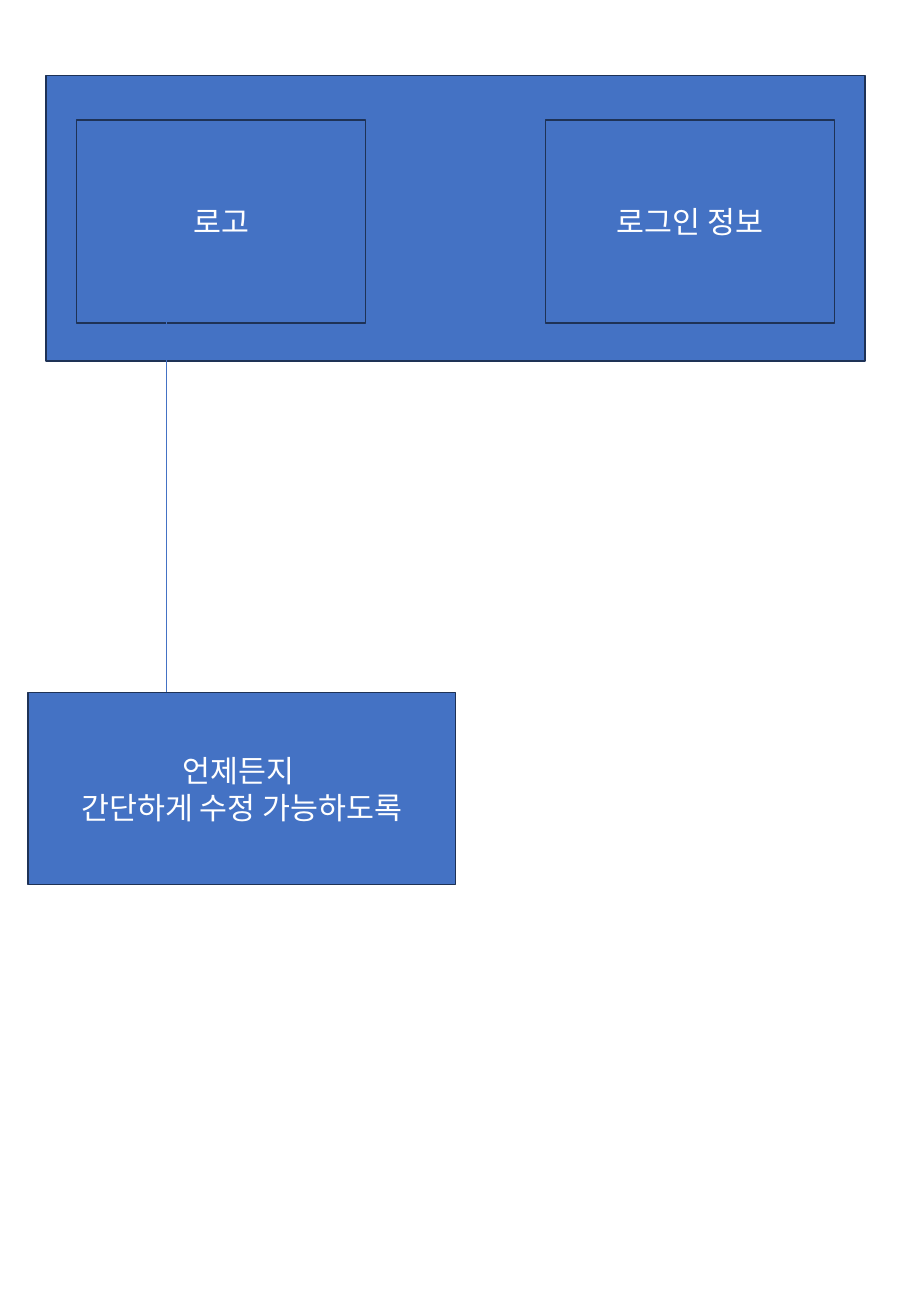
from dataclasses import dataclass

from pptx import Presentation
from pptx.dml.color import RGBColor
from pptx.enum import shapes, text
from pptx.oxml import ns
from pptx.oxml.xmlchemy import OxmlElement
from pptx.slide import Slide
from pptx import util as u

SLIDE_WIDTH = u.Inches(7.5)
SLIDE_HEIGHT = u.Inches(10.83)
COLUMNS = 60
CELL = SLIDE_WIDTH / COLUMNS  # square grid: a row is as tall as a column is wide


@dataclass(frozen=True)
class Theme:
    """Colours, font and sizes of the slide."""

    fill: RGBColor = RGBColor(0x44, 0x72, 0xC4)
    outline: RGBColor = RGBColor(0x1E, 0x32, 0x56)
    label: RGBColor = RGBColor(0xFF, 0xFF, 0xFF)
    font: str = "Calibri"
    label_size: u.Pt = u.Pt(18)
    outline_width: u.Pt = u.Pt(1)
    link_width: u.Pt = u.Pt(0.5)


@dataclass(frozen=True)
class Box:
    """A labelled rectangle, placed in grid columns and rows."""

    column: float
    row: float
    columns: float
    rows: float
    lines: tuple[str, ...] = ()


THEME = Theme()

HEADER = Box(3.04, 4.96, 53.92, 18.8)
CARD_COLUMNS, CARD_ROWS = 19.04, 13.36
CARD_INSET, CARD_ROW = 2, 7.92
LOGO = Box(HEADER.column + CARD_INSET, CARD_ROW, CARD_COLUMNS, CARD_ROWS, ("로고",))
LOGIN = Box(HEADER.column + HEADER.columns - CARD_INSET - CARD_COLUMNS,
            CARD_ROW, CARD_COLUMNS, CARD_ROWS, ("로그인 정보",))
NOTE = Box(1.84, 45.6, 28.16, 12.64, ("언제든지 ", "간단하게 수정 가능하도록"))
LINK_COLUMN, LINK_ROW = 10.96, 20.56


def grid(cells: float) -> u.Emu:
    """Turn a number of grid cells into a length."""
    return u.Emu(round(cells * CELL))


def draw_box(slide: Slide, box: Box) -> None:
    """Draw a rectangle with its centred lines of text."""
    shape = slide.shapes.add_shape(
        shapes.MSO_SHAPE.RECTANGLE,
        grid(box.column), grid(box.row), grid(box.columns), grid(box.rows))
    shape.shadow.inherit = False
    shape.fill.solid()
    shape.fill.fore_color.rgb = THEME.fill
    shape.line.color.rgb = THEME.outline
    shape.line.width = THEME.outline_width
    frame = shape.text_frame
    frame.vertical_anchor = text.MSO_ANCHOR.MIDDLE
    for index, line in enumerate(box.lines):
        paragraph = frame.add_paragraph() if index else frame.paragraphs[0]
        paragraph.alignment = text.PP_ALIGN.CENTER
        run = paragraph.add_run()
        run.text = line
        run.font.name = THEME.font
        run.font.size = THEME.label_size
        run.font.color.rgb = THEME.label


def draw_link(slide: Slide, column: float, top: float, bottom: float) -> None:
    """Draw a thin vertical line between two rows."""
    link = slide.shapes.add_connector(
        shapes.MSO_CONNECTOR.STRAIGHT,
        grid(column), grid(top), grid(column), grid(bottom))
    link.line.color.rgb = THEME.fill
    link.line.width = THEME.link_width
    link._element.find(ns.qn("p:spPr")).append(OxmlElement("a:effectLst"))


def main() -> None:
    """Build the slide and save it."""
    presentation = Presentation()
    presentation.slide_width = SLIDE_WIDTH
    presentation.slide_height = SLIDE_HEIGHT
    slide = presentation.slides.add_slide(presentation.slide_layouts[6])
    for box in (HEADER, LOGO, LOGIN):
        draw_box(slide, box)
    draw_link(slide, LINK_COLUMN, LINK_ROW, NOTE.row)
    draw_box(slide, NOTE)
    presentation.save("out.pptx")


main()
